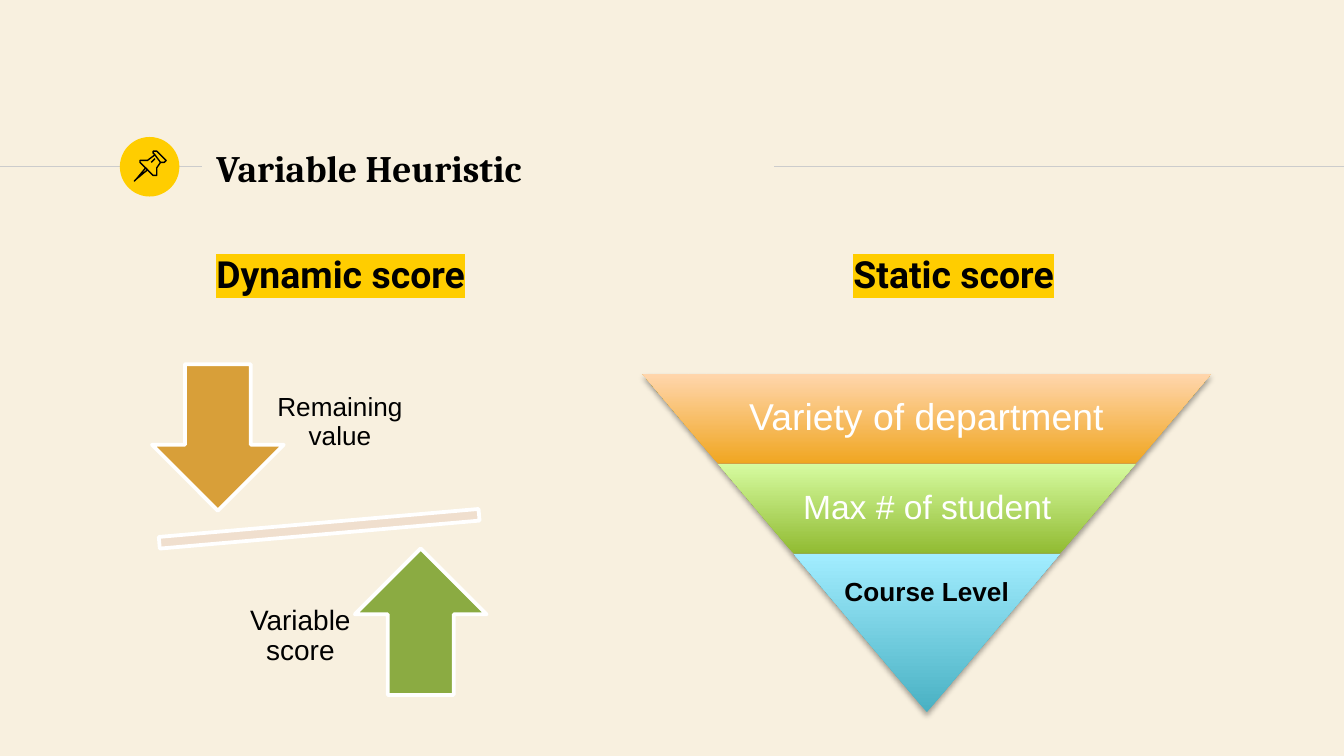
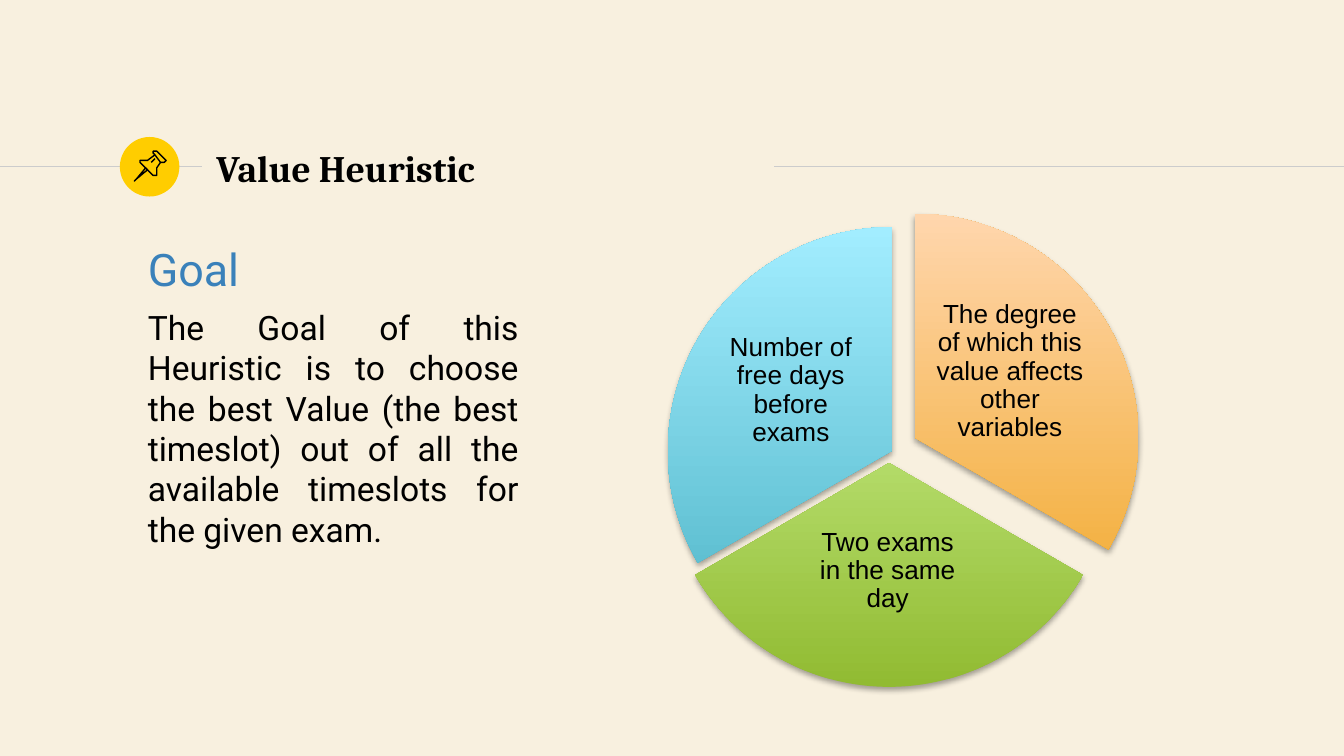
"""Build two slides on the variable and value heuristics."""
from dataclasses import dataclass

from lxml.etree import SubElement
from pptx import Presentation
from pptx.dml.color import RGBColor
from pptx.enum.shapes import MSO_CONNECTOR, MSO_SHAPE
from pptx.enum.text import MSO_ANCHOR, MSO_AUTO_SIZE, PP_ALIGN
from pptx.oxml.ns import qn
from pptx.util import Pt


@dataclass(frozen=True)
class Theme:
    paper: str = "F7ECD7"
    rule: str = "CCCCCC"
    yellow: str = "FFCD00"
    black: str = "000000"
    white: str = "FFFFFF"
    blue: str = "3A81BA"
    bar: str = "F0DFCE"
    ochre: str = "D89F39"
    olive: str = "8BAB42"
    amber: tuple = ("F0A621", "FFD6AD")
    green: tuple = ("91BB32", "D6FBA0")
    aqua: tuple = ("49B1C3", "A2EDFF")
    head: str = "Cambria"
    body: str = "Roboto"
    label: str = "Arial"
    small: float = 14
    mid: float = 15
    large: float = 18
    title: float = 20
    lead: float = 24


look = Theme()
rgb = RGBColor.from_string


def write(shape, box, text, size, face, color=look.black, bold=False,
          align=PP_ALIGN.LEFT, anchor=MSO_ANCHOR.MIDDLE, inset=7.2):
    shape.left, shape.top, shape.width, shape.height = map(Pt, box)
    frame = shape.text_frame
    frame.text = text
    frame.word_wrap = True
    frame.auto_size = MSO_AUTO_SIZE.NONE
    frame.vertical_anchor = anchor
    frame.margin_left = frame.margin_right = Pt(inset)
    frame.margin_top = frame.margin_bottom = Pt(inset)
    for para in frame.paragraphs:
        props = para._p.get_or_add_pPr()
        props.set("marL", "0")
        props.set("indent", "0")
        SubElement(props, qn("a:buNone"))
        para.alignment = align
        para.space_before = Pt(0)
        font = para.font
        font.size, font.name, font.bold = Pt(size), face, bold
        font.color.rgb = rgb(color)
    return frame.paragraphs


def shade(shape, tones):
    shape.line.fill.background()
    shape.fill.gradient()
    shape.fill.gradient_angle = 90
    for stop, tone, place in zip(shape.fill.gradient_stops, tones, (0, 1)):
        stop.color.rgb = rgb(tone)
        stop.position = place
    props = shape._element.spPr
    props.find(qn("a:gradFill")).set("rotWithShape", "0")
    shape.shadow.inherit = False
    drop = SubElement(props.find(qn("a:effectLst")), qn("a:outerShdw"),
                      blurRad=str(Pt(3.1)), dist=str(Pt(1.8)),
                      dir="5400000", rotWithShape="0")
    tint = SubElement(drop, qn("a:srgbClr"), val=look.black)
    SubElement(tint, qn("a:alpha"), val="35000")


deck = Presentation()
deck.slide_width, deck.slide_height = Pt(720), Pt(405)
master = deck.slide_master
master.background.fill.solid()
master.background.fill.fore_color.rgb = rgb(look.paper)
SubElement(master.element.find(".//" + qn("a:srgbClr")), qn("a:alpha"), val="78000")

pin = [
    ([(77.8, 90), (72.7, 96.5), (72, 97.2), (73.4, 96.5), (79.2, 91.4)], True),
    ([(82.8, 82.8), (86.4, 87.1), (87.8, 87.1), (89.3, 86.4), (89.3, 85.7),
      (83.5, 80.6), (82.8, 80.6), (82.1, 81.4), (82.1, 82.4)], True),
    ([(82.8, 82.8), (79.2, 85.7), (77, 85.7), (74.9, 86.4), (74.9, 87.1),
      (82.1, 94.3), (82.8, 94.3), (83.5, 93.6), (83.5, 90), (86.4, 87.1)], False),
    ([(80.6, 87.1), (82.8, 85)], False),
]

slides = []
for name, layout in (("Variable Heuristic", 3), ("Value Heuristic", 1)):
    slide = deck.slides.add_slide(deck.slide_layouts[layout])
    slides.append(slide)
    for start, end in ((0, 108), (414.7, 720)):
        rule = slide.shapes.add_connector(
            MSO_CONNECTOR.STRAIGHT, Pt(start), Pt(89.3), Pt(end), Pt(89.3))
        rule.line.color.rgb = rgb(look.rule)
        rule.line.width = Pt(0.75)
        SubElement(rule._element.spPr, qn("a:effectLst"))
    disc = slide.shapes.add_shape(MSO_SHAPE.OVAL, Pt(64.2), Pt(73.4), Pt(31.9), Pt(31.9))
    disc.fill.solid()
    disc.fill.fore_color.rgb = rgb(look.yellow)
    disc.line.fill.background()
    disc.shadow.inherit = False
    for points, closed in pin:
        pen = slide.shapes.build_freeform(*points[0], scale=Pt(1))
        pen.add_line_segments(points[1:], close=closed)
        part = pen.convert_to_shape()
        part.fill.background()
        part.line.color.rgb = rgb(look.black)
        part.line.width = Pt(0.75)
        part.shadow.inherit = False
    write(slide.shapes.title, (108.7, 72.7, 305.3, 34.6), name,
          look.title, look.head, bold=True)

first, second = slides

for spot, left, text in ((1, 108.7, "Dynamic score"), (2, 450, "Static score")):
    paras = write(first.placeholders[spot], (left, 127.4, 270, 254.2), text,
                  look.title, look.body, bold=True, anchor=MSO_ANCHOR.TOP)
    mark = SubElement(paras[0].runs[0]._r.get_or_add_rPr(), qn("a:highlight"))
    SubElement(mark, qn("a:srgbClr"), val=look.yellow)

for kind, box, color, turn in (
    (MSO_SHAPE.MATH_MINUS, (54, 270, 234, 26.6), look.bar, 355),
    (MSO_SHAPE.DOWN_ARROW, (81.4, 195.1, 70.6, 78.5), look.ochre, 0),
    (MSO_SHAPE.UP_ARROW, (190.1, 293.8, 70.6, 78.5), look.olive, 0),
):
    sign = first.shapes.add_shape(kind, *map(Pt, box))
    sign.rotation = turn
    sign.fill.solid()
    sign.fill.fore_color.rgb = rgb(color)
    sign.line.color.rgb = rgb(look.white)
    sign.line.width = Pt(2)
    sign.shadow.inherit = False

slope, wide, top = 0.84, 304.6, 200.2
for tall, tones in ((48.2, look.amber), (48.2, look.green), (84.9, look.aqua)):
    tier = first.shapes.add_shape(
        MSO_SHAPE.TRAPEZOID, Pt(496.5 - wide / 2), Pt(top), Pt(wide), Pt(tall))
    tier.adjustments[0] = slope
    tier.rotation = 180
    shade(tier, tones)
    top += tall
    wide -= 2 * slope * tall

for start, tones, left, top in (
    (270, look.amber, 370.1, 114.5),
    (30, look.green, 356.4, 128.2),
    (150, look.aqua, 357.8, 121.7),
):
    wedge = second.shapes.add_shape(MSO_SHAPE.PIE, Pt(left), Pt(top), Pt(239.8), Pt(239.8))
    wedge.adjustments[0] = start * 0.6
    wedge.adjustments[1] = (start + 120) % 360 * 0.6
    shade(wedge, tones)

for slide, text, box, size, color, bold, inset in (
    (first, "Remaining value", (137.5, 185, 89.3, 82.8), look.small, look.black, False, 7.9),
    (first, "Variable score", (123.1, 299.5, 75.6, 82.8), look.mid, look.black, False, 8.6),
    (first, "Variety of department", (397.4, 200.2, 198, 48.2),
     look.title, look.white, False, 2.2),
    (first, "Max # of student", (424.1, 248.4, 145.4, 48.2),
     look.large, look.white, False, 2.2),
    (first, "Course Level", (445, 305.3, 103, 24.5), look.small, look.black, True, 3.6),
    (second, "The degree of which this value affects other variables",
     (500.4, 159.1, 81.4, 79.9), look.small, look.black, False, 1.4),
    (second, "Two exams\vin the same\vday", (421.2, 279.4, 108.7, 53.3),
     look.small, look.black, False, 1.4),
    (second, "Number of free days before exams", (383, 169.2, 81.4, 79.9),
     look.small, look.black, False, 1.4),
):
    label = slide.shapes.add_textbox(*map(Pt, box))
    for para in write(label, box, text, size, look.label, color, bold,
                      PP_ALIGN.CENTER, inset=inset):
        para.line_spacing = 0.9

goal, aim = write(
    second.placeholders[1], (72, 108, 213.1, 288.7),
    "Goal\nThe Goal of this Heuristic is to choose the best Value (the best timeslot) "
    "out of all the available timeslots for the given exam.",
    look.large, look.body, anchor=MSO_ANCHOR.TOP)
goal.space_before = aim.space_before = Pt(6)
goal.line_spacing = 1.5
goal.font.size = Pt(look.lead)
goal.font.color.rgb = rgb(look.blue)
aim.alignment = PP_ALIGN.JUSTIFY

deck.save("out.pptx")
